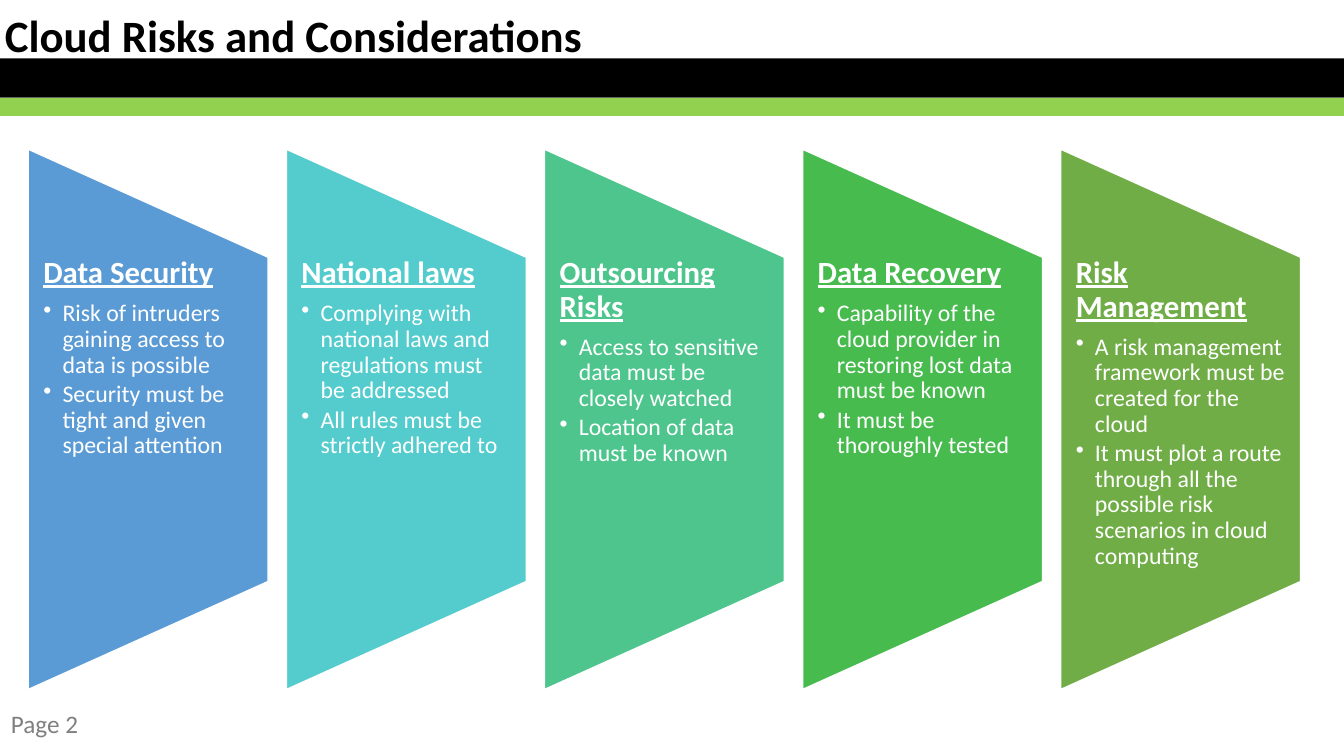
from dataclasses import dataclass

from lxml import etree
from pptx import Presentation
from pptx import util as u
from pptx.dml.color import RGBColor
from pptx.enum import shapes, text
from pptx.oxml.ns import qn

FONT = "Calibri"
WHITE, BLACK, GREY, GREEN = "FFFFFF", "000000", "808080", "92D050"

# Slide and column grid, in inches
SLIDE_W, SLIDE_H = 13.33, 7.5
GRID_LEFT, PITCH, PANEL_W = 0.28, 2.56, 2.38
PANEL_H, PANEL_MIDDLE = 5.36, 4.16
TEXT_H = PANEL_H * 0.6
INDENT = 0.19


@dataclass
class Risk:
    heading: str
    color: str
    points: list[str]


RISKS = [
    Risk("Data Security", "5B9BD5", [
        "Risk of intruders gaining access to data is possible",
        "Security must be tight and given special attention"]),
    Risk("National laws", "54CCCD", [
        "Complying with national laws and regulations must be addressed",
        "All rules must be strictly adhered to"]),
    Risk("Outsourcing Risks", "4DC58D", [
        "Access to sensitive data must be closely watched",
        "Location of data must be known"]),
    Risk("Data Recovery", "48BB4F", [
        "Capability of the cloud provider in restoring lost data must be known",
        "It must be thoroughly tested"]),
    Risk("Risk Management", "70AD47", [
        "A risk management framework must be created for the cloud",
        "It must plot a route through all the possible risk scenarios in cloud computing"]),
]


def rgb(value: str) -> RGBColor:
    return RGBColor.from_string(value)


def add_block(s, kind, left: float, top: float, width: float, height: float,
              fill: str, line: str | None = None):
    sp = s.shapes.add_shape(kind, *map(u.Inches, (left, top, width, height)))
    sp.shadow.inherit = False
    sp.fill.solid()
    sp.fill.fore_color.rgb = rgb(fill)
    if line:
        sp.line.color.rgb = rgb(line)
        sp.line.width = u.Pt(1)
    else:
        sp.line.fill.background()
    return sp


def add_box(s, left: float, top: float, width: float, height: float,
            inset: tuple[float, float] = (0.1, 0.05)):
    tf = s.shapes.add_textbox(*map(u.Inches, (left, top, width, height))).text_frame
    tf.word_wrap = True
    tf.vertical_anchor = text.MSO_ANCHOR.TOP
    tf.margin_left = tf.margin_right = u.Inches(inset[0])
    tf.margin_top = tf.margin_bottom = u.Inches(inset[1])
    return tf


def write(p, words: str, *, size: float, color: str = WHITE, bold: bool = False,
          underline: bool = False, spacing: float = 1.0, after: float = 0,
          bullet: bool = False) -> None:
    p.line_spacing = spacing
    p.space_after = u.Pt(after)
    r = p.add_run()
    r.text = words
    r.font.name = FONT
    r.font.size = u.Pt(size)
    r.font.color.rgb = rgb(color)
    r.font.bold = bold
    r.font.underline = underline
    if bullet:
        p.level = 1
        ppr = p._p.get_or_add_pPr()
        ppr.set("marL", str(u.Inches(INDENT)))
        ppr.set("indent", str(-u.Inches(INDENT)))
        etree.SubElement(ppr, qn("a:buChar")).set("char", "•")


def add_risk(s, column: int, risk: Risk) -> None:
    left = GRID_LEFT + column * PITCH
    # The panel is laid out lying down, then turned about its centre
    panel = add_block(s, shapes.MSO_SHAPE.FLOWCHART_MANUAL_OPERATION,
                      left + (PANEL_W - PANEL_H) / 2, PANEL_MIDDLE - PANEL_W / 2,
                      PANEL_H, PANEL_W, risk.color, WHITE)
    panel.rotation = 270
    tf = add_box(s, left, PANEL_MIDDLE - TEXT_H / 2, PANEL_W, TEXT_H, (0.15, 0))
    write(tf.paragraphs[0], risk.heading, size=22, bold=True, underline=True,
          spacing=0.9, after=7.7)
    for point in risk.points:
        write(tf.add_paragraph(), point, size=17, spacing=0.9, after=2.55, bullet=True)


def main() -> None:
    prs = Presentation()
    prs.slide_width, prs.slide_height = u.Inches(SLIDE_W), u.Inches(SLIDE_H)
    s = prs.slides.add_slide(prs.slide_layouts[6])

    # Page number and title
    write(add_box(s, 0.01, 7.01, 1.04, 0.44).paragraphs[0], "Page 2",
          size=18, color=GREY, spacing=0.9)
    write(add_box(s, -0.05, 0.03, 6.41, 0.64).paragraphs[0],
          "Cloud Risks and Considerations", size=32, color=BLACK, bold=True)

    # Header bands
    for top, height, color in ((0.58, 0.39, BLACK), (0.97, 0.18, GREEN)):
        add_block(s, shapes.MSO_SHAPE.RECTANGLE, 0, top, SLIDE_W, height, color)

    # Risk panels
    for column, risk in enumerate(RISKS):
        add_risk(s, column, risk)

    prs.save("out.pptx")


if __name__ == "__main__":
    main()
